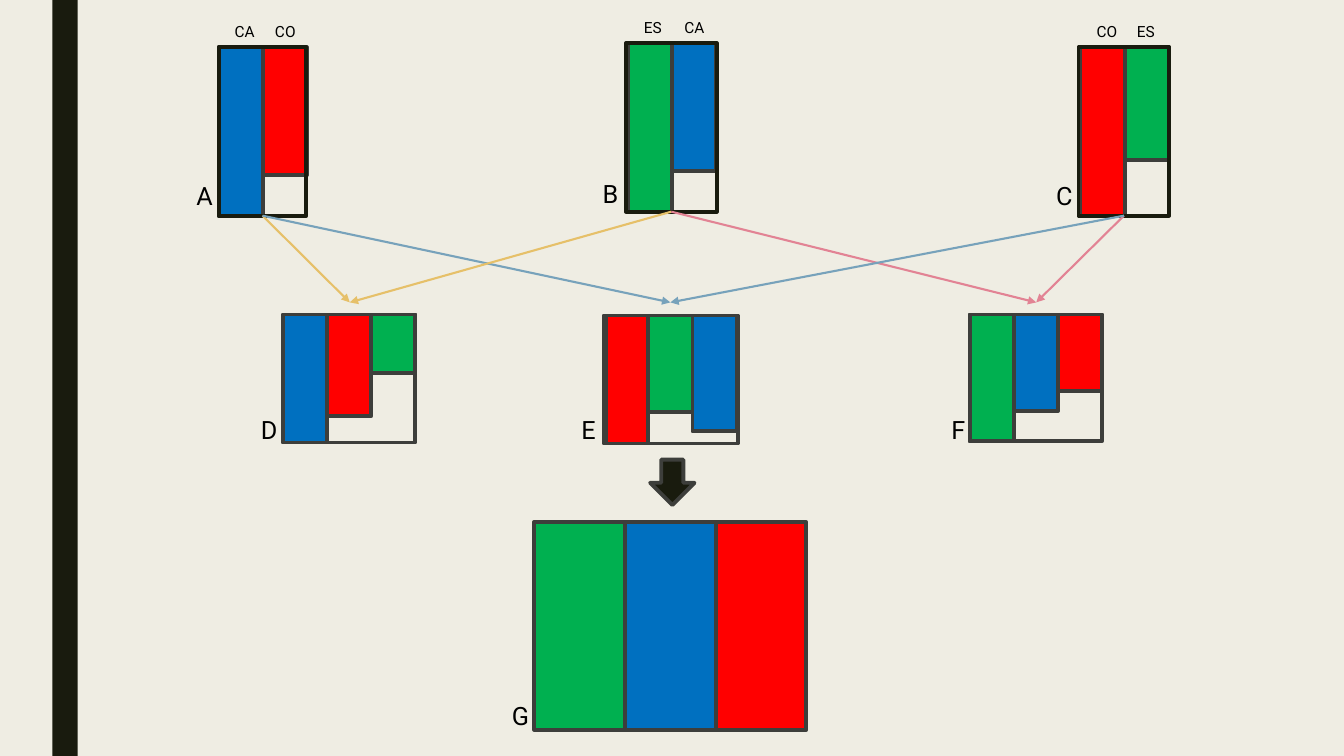
from dataclasses import dataclass, field

from lxml import etree
from pptx import Presentation
from pptx import util as u
from pptx.dml import color
from pptx.enum import shapes, text
from pptx.oxml import ns


@dataclass(frozen=True)
class Theme:
    font: str = "Roboto"
    label_size: float = 18
    heading_size: float = 11
    outline_width: float = 2.75
    arrow_width: float = 1.5
    background: str = "EFEDE3"
    ink: str = "191B0E"
    outline: str = "3D3E3B"
    text: str = "000000"
    blue: str = "0070C0"
    red: str = "FF0000"
    green: str = "00B050"
    yellow_arrow: str = "E6C069"
    blue_arrow: str = "77A2BB"
    pink_arrow: str = "E28394"


@dataclass
class Diagram:
    label: str
    label_at: tuple
    left: float
    top: float
    bar_width: float
    bars: list
    frame: tuple = ()
    frame_line: str = "outline"
    headings: list = field(default_factory=list)


THEME = Theme()
CELLS_PER_INCH = 10
COLUMNS, ROWS = 133.33, 75

DIAGRAMS = [
    Diagram("A", (18.5, 17.4), 21.7, 4.7, 4.37, [("blue", 16.7), ("red", 12.7)],
            (21.7, 8.7, 16.7), "ink", ["CA", "CO"]),
    Diagram("B", (58.8, 17.2), 62.3, 4.3, 4.37, [("green", 16.7), ("blue", 12.7)],
            (62.1, 9, 16.7), "ink", ["ES", "CA"]),
    Diagram("C", (103.8, 17.4), 107.2, 4.7, 4.37, [("red", 16.7), ("green", 11.2)],
            (107, 9, 16.7), "ink", ["CO", "ES"]),
    Diagram("D", (24.9, 40.6), 28.1, 31.2, 4.37,
            [("blue", 12.7), ("red", 10.1), ("green", 5.8)], (28.1, 13.1, 12.7)),
    Diagram("E", (56.7, 40.6), 59.9, 31.3, 4.4,
            [("red", 12.7), ("green", 9.6), ("blue", 11.5)], (60.1, 13.1, 12.7)),
    Diagram("F", (93.4, 40.6), 96.2, 31.2, 4.37,
            [("green", 12.6), ("blue", 9.6), ("red", 7.6)], (96.2, 13.1, 12.6)),
    Diagram("G", (49.8, 69), 53, 51.8, 9,
            [("green", 20.6), ("blue", 20.6), ("red", 20.6)]),
]

ARROW_TIPS = {"D": (34.7, 30), "E": (66.5, 30), "F": (102.8, 30)}
ARROWS = [
    ("A", "D", "yellow_arrow"),
    ("A", "E", "blue_arrow"),
    ("B", "D", "yellow_arrow"),
    ("C", "F", "pink_arrow"),
    ("B", "F", "pink_arrow"),
    ("C", "E", "blue_arrow"),
]


def cells(*counts):
    return [u.Inches(count / CELLS_PER_INCH) for count in counts]


def rgb(name):
    return color.RGBColor.from_string(getattr(THEME, name))


def set_attributes(target, values):
    for name, value in values.items():
        setattr(target, name, value)


def add_block(container, kind, place, fill=None, line=None):
    shape = container.add_shape(kind, *cells(*place))
    shape.shadow.inherit = False
    if fill:
        shape.fill.solid()
        shape.fill.fore_color.rgb = rgb(fill)
    else:
        shape.fill.background()
    if line:
        shape.line.color.rgb = rgb(line)
        shape.line.width = u.Pt(THEME.outline_width)
    else:
        shape.line.fill.background()
    return shape


def add_caption(container, words, place, size):
    shape = container.add_textbox(*cells(*place))
    set_attributes(shape.text_frame, {
        "word_wrap": True,
        "auto_size": text.MSO_AUTO_SIZE.SHAPE_TO_FIT_TEXT,
    })
    paragraph = shape.text_frame.paragraphs[0]
    run = paragraph.add_run()
    run.text = words
    set_attributes(run.font, {"name": THEME.font, "size": u.Pt(size)})
    run.font.color.rgb = rgb("text")


def add_diagram(slide, diagram):
    group = slide.shapes.add_group_shape().shapes
    for index, (fill, height) in enumerate(diagram.bars):
        left = diagram.left + index * diagram.bar_width
        add_block(group, shapes.MSO_SHAPE.RECTANGLE,
                  (left, diagram.top, diagram.bar_width, height), fill, "outline")
    for index, heading in enumerate(diagram.headings):
        add_caption(group, heading,
                    (diagram.left + 0.6 + 4 * index, diagram.top - 3, 4.4, 2.9),
                    THEME.heading_size)
    add_caption(group, diagram.label, (*diagram.label_at, 2.9, 4.1), THEME.label_size)
    if diagram.frame:
        left, width, height = diagram.frame
        return add_block(group, shapes.MSO_SHAPE.RECTANGLE,
                         (left, diagram.top, width, height), line=diagram.frame_line)


def add_arrow(slide, frame, tip, line):
    end = cells(*tip)
    connector = slide.shapes.add_connector(
        shapes.MSO_CONNECTOR.STRAIGHT, frame.left, frame.top, *end)
    connector.begin_connect(frame, 2)
    connector.line.color.rgb = rgb(line)
    connector.line.width = u.Pt(THEME.arrow_width)
    etree.SubElement(connector.line._get_or_add_ln(), ns.qn("a:tailEnd"), type="triangle")
    etree.SubElement(connector._element.spPr, ns.qn("a:effectLst"))


def main():
    presentation = Presentation()
    width, height = cells(COLUMNS, ROWS)
    set_attributes(presentation, {"slide_width": width, "slide_height": height})
    slide = presentation.slides.add_slide(presentation.slide_layouts[6])
    slide.background.fill.solid()
    slide.background.fill.fore_color.rgb = rgb("background")

    add_block(slide.shapes, shapes.MSO_SHAPE.RECTANGLE, (5.2, 0, 2.5, ROWS), "ink")
    frames = {diagram.label: add_diagram(slide, diagram) for diagram in DIAGRAMS}
    add_block(slide.shapes, shapes.MSO_SHAPE.DOWN_ARROW,
              (64.5, 45.6, 4.4, 4.5), "ink", "outline")
    for source, target, line in ARROWS:
        add_arrow(slide, frames[source], ARROW_TIPS[target], line)

    presentation.save("out.pptx")


if __name__ == "__main__":
    main()
